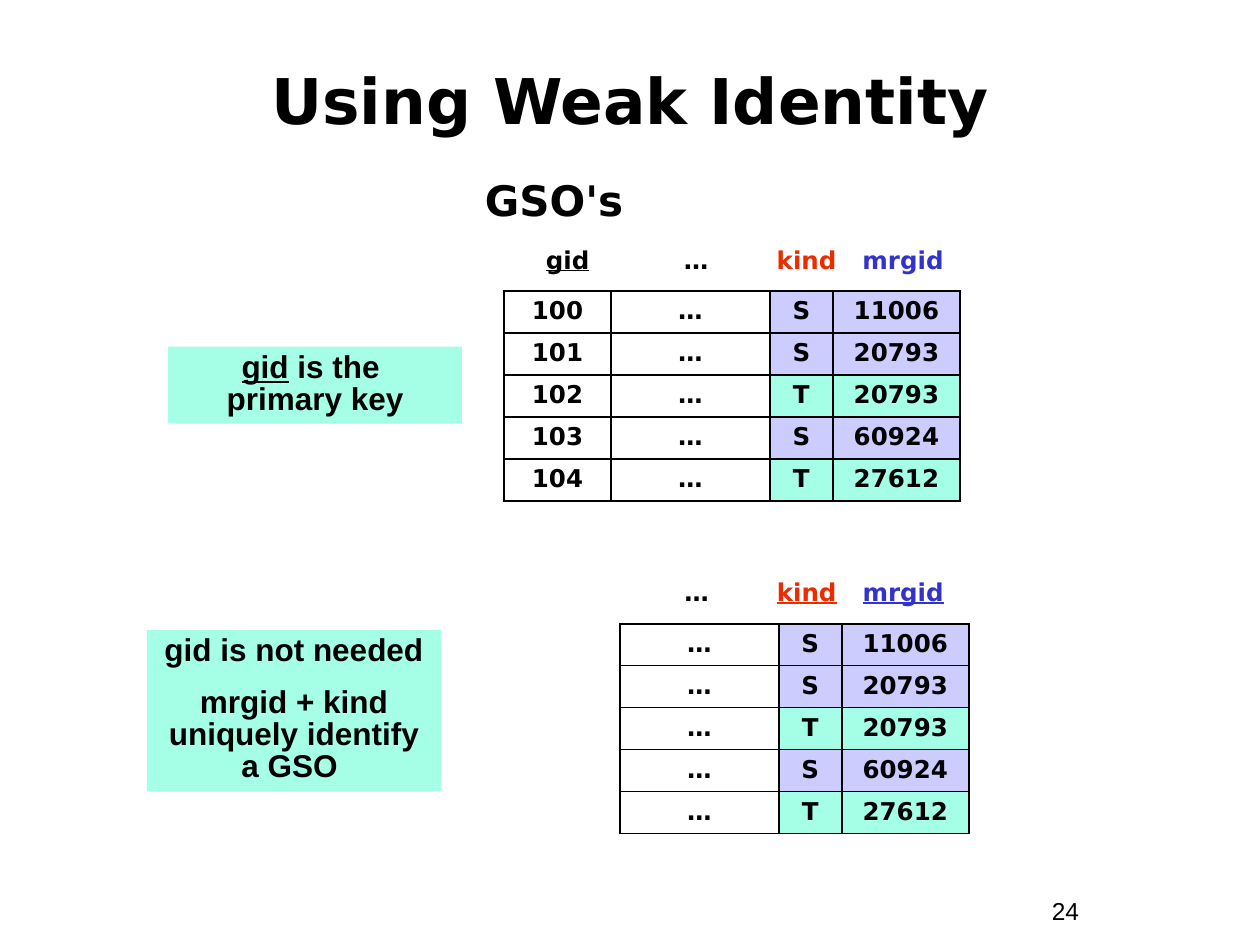
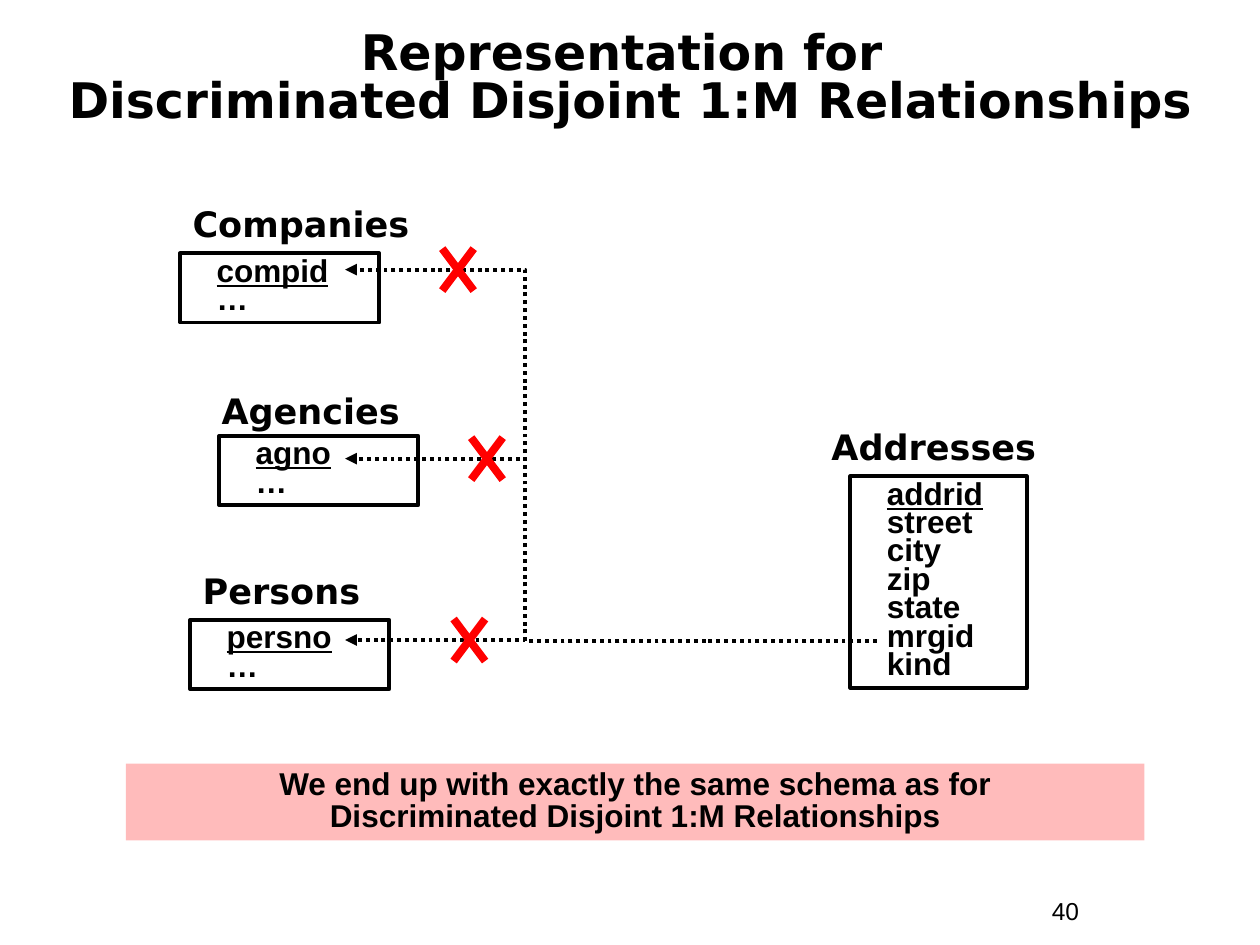
"""Two database-design slides: weak identity and discriminated relationships."""
from collections import namedtuple
from dataclasses import dataclass

from lxml import etree
from pptx import Presentation
from pptx.dml.color import RGBColor
from pptx.enum.dml import MSO_LINE
from pptx.enum.shapes import MSO_CONNECTOR, MSO_SHAPE
from pptx.enum.text import MSO_ANCHOR, PP_ALIGN
from pptx.oxml.ns import qn
from pptx.util import Inches, Pt

RECTANGLE = MSO_SHAPE.RECTANGLE
ELBOW, STRAIGHT = MSO_CONNECTOR.ELBOW, MSO_CONNECTOR.STRAIGHT
DOTTED = MSO_LINE.ROUND_DOT
LEFT, CENTER = PP_ALIGN.LEFT, PP_ALIGN.CENTER
TOP, MIDDLE = MSO_ANCHOR.TOP, MSO_ANCHOR.MIDDLE

COLUMNS, ROWS, PER_INCH = 120, 90, 12
BLANK_LAYOUT = 6

Box = namedtuple("Box", "left top width height")


@dataclass(frozen=True)
class Theme:
    """Colours, fonts, type sizes and line widths of the deck."""
    ink: str = "000000"
    lilac: str = "CCCCFF"
    mint: str = "A5FFE7"
    pink: str = "FFBBBB"
    kind: str = "EA2D00"
    mrgid: str = "3333CC"
    cross: str = "FF0000"
    heading_font: str = "DejaVu Sans"
    body_font: str = "Arial"
    title: int = 36
    long_title: int = 28
    table_name: int = 24
    entity_name: int = 20
    body: int = 18
    small: int = 14
    border: float = 1.08
    outline: float = 2.25
    cross_width: float = 4.5


THEME = Theme()
HEADING = {"name": THEME.heading_font, "bold": True, "color": THEME.ink}
BODY = {"name": THEME.body_font, "bold": True, "color": THEME.ink, "size": THEME.body}
CELL = {**HEADING, "size": THEME.small}
UNDERLINED = {"underline": True}

GSO_ROWS = [
    ("100", "…", "S", "11006"),
    ("101", "…", "S", "20793"),
    ("102", "…", "T", "20793"),
    ("103", "…", "S", "60924"),
    ("104", "…", "T", "27612"),
]
GSO_COLUMNS = (10.2, 15.12, 6, 12.12)
GSO_ROW = 4
HEADER_STOPS = (65.16, 74, 82.16)
KIND_FILLS = {"S": THEME.lilac, "T": THEME.mint}

JUNCTION = (67.2, 61.08)
REFERENCE_X = 32.88
KEY_BOX = (18.96, 6.6)


def grid(units):
    """Turn grid units into a length."""
    return Inches(units / PER_INCH)


def lengths(box):
    """Turn a box in grid units into four lengths."""
    return [grid(side) for side in box]


def set_font(font, values):
    """Apply a dict of format values to a font."""
    for key, value in values.items():
        if key == "color":
            font.color.rgb = RGBColor.from_string(value)
        elif key == "size":
            font.size = Pt(value)
        else:
            setattr(font, key, value)


def write(frame, paragraphs, base, anchor=TOP, **layout):
    """Write paragraphs of (text, format) runs, with newlines as line breaks."""
    frame.word_wrap = True
    frame.vertical_anchor = anchor
    for index, runs in enumerate(paragraphs):
        paragraph = frame.add_paragraph() if index else frame.paragraphs[0]
        for key, value in layout.items():
            setattr(paragraph, key, value)
        for text, extra in runs:
            for number, line in enumerate(text.split("\n")):
                if number:
                    paragraph.add_line_break()
                if line:
                    run = paragraph.add_run()
                    run.text = line
                    set_font(run.font, {**base, **extra})


def label(slide, box, text, base, **layout):
    """Place one plain text in a text box."""
    frame = slide.shapes.add_textbox(*lengths(box)).text_frame
    write(frame, [[(text, {})]], base, **layout)


def panel(slide, box, paragraphs, fill=None, outlined=False, **layout):
    """Place a rectangle with text, filled or outlined."""
    shape = slide.shapes.add_shape(RECTANGLE, *lengths(box))
    shape.shadow.inherit = False
    if fill:
        shape.fill.solid()
        shape.fill.fore_color.rgb = RGBColor.from_string(fill)
    else:
        shape.fill.background()
    if outlined:
        shape.line.color.rgb = RGBColor.from_string(THEME.ink)
        shape.line.width = Pt(THEME.outline)
    else:
        shape.line.fill.background()
    write(shape.text_frame, paragraphs, BODY, **layout)
    return shape


def note(slide, box, paragraphs, fill):
    """Place a coloured remark with centred text."""
    panel(slide, box, paragraphs, fill, alignment=CENTER,
          line_spacing=0.85, space_before=Pt(11.2))


def connect(slide, kind, start, end, color, width, dash=None, arrow=False):
    """Draw a connector between two grid points."""
    link = slide.shapes.add_connector(kind, *lengths(start + end))
    link.line.color.rgb = RGBColor.from_string(color)
    link.line.width = Pt(width)
    if dash:
        link.line.dash_style = dash
    properties = link._element.spPr
    if arrow:
        etree.SubElement(properties.find(qn("a:ln")), qn("a:tailEnd"), type="triangle")
    etree.SubElement(properties, qn("a:effectLst"))


def set_borders(cell):
    """Draw a thin line on all four sides of a cell."""
    properties = cell._tc.get_or_add_tcPr()
    for index, side in enumerate(("lnL", "lnR", "lnT", "lnB")):
        line = etree.Element(qn(f"a:{side}"), w=str(Pt(THEME.border)))
        fill = etree.SubElement(line, qn("a:solidFill"))
        etree.SubElement(fill, qn("a:srgbClr"), val=THEME.ink)
        properties.insert(index, line)


def gso_header(slide, box, names):
    """Write column names at the shared tab stops."""
    frame = slide.shapes.add_textbox(*lengths(box)).text_frame
    write(frame, [names], CELL, line_spacing=0.9)
    properties = frame.paragraphs[0]._p.get_or_add_pPr()
    stops = etree.SubElement(properties, qn("a:tabLst"))
    text_left = box.left + 0.1 * PER_INCH
    for stop in HEADER_STOPS:
        if stop > text_left:
            etree.SubElement(stops, qn("a:tab"), pos=str(grid(stop - text_left)), algn="l")


def gso_table(slide, left, top, first_column, header_left, header_width, names):
    """Place the GSO rows from one column on, with their header above."""
    widths = GSO_COLUMNS[first_column:]
    rows = [row[first_column:] for row in GSO_ROWS]
    gso_header(slide, Box(header_left, top - 4.68, header_width, 3.72), names)
    box = Box(left, top, sum(widths), GSO_ROW * len(rows))
    table = slide.shapes.add_table(len(rows), len(widths), *lengths(box)).table
    table.first_row = table.horz_banding = False
    for column, width in zip(table.columns, widths):
        column.width = grid(width)
    for row_index, row in enumerate(rows):
        table.rows[row_index].height = grid(GSO_ROW)
        for column_index, value in enumerate(row):
            cell = table.cell(row_index, column_index)
            cell.vertical_anchor = MIDDLE
            if column_index >= len(row) - 2:
                cell.fill.solid()
                cell.fill.fore_color.rgb = RGBColor.from_string(KIND_FILLS[row[-2]])
            else:
                cell.fill.background()
            set_borders(cell)
            write(cell.text_frame, [[(value, {})]], CELL, alignment=CENTER, line_spacing=0.9)
            cell.vertical_anchor = MIDDLE


def entity(slide, box, name, name_offset, key, fields):
    """Place an entity's name above its outlined box of fields."""
    across, up = name_offset
    label(slide, Box(box.left + across, box.top - up, 25.8, 5.28), name,
          {**HEADING, "size": THEME.entity_name})
    shape = panel(slide, box, [[(key + "\n", UNDERLINED), (fields, {})]],
                  outlined=True, alignment=LEFT, line_spacing=0.75)
    properties = shape.text_frame.paragraphs[0]._p.get_or_add_pPr()
    properties.set("marL", str(Inches(0.19)))
    properties.set("indent", "0")


def crossed_reference(slide, row, cross_left):
    """Draw a dotted reference to an entity and strike it out."""
    connect(slide, ELBOW, JUNCTION, (REFERENCE_X, row), THEME.ink, THEME.outline,
            DOTTED, arrow=True)
    near, far = cross_left, cross_left + 3
    for start, end in ((near, far), (far, near)):
        connect(slide, STRAIGHT, (start, row - 2), (end, row + 2),
                THEME.cross, THEME.cross_width)


def new_slide(deck, title, title_top, title_size, title_spacing, number):
    """Add a blank slide with its title and slide number."""
    slide = deck.slides.add_slide(deck.slide_layouts[BLANK_LAYOUT])
    label(slide, Box(99, 84.72, 11, 4.08), number,
          {**BODY, "bold": False, "size": THEME.small})
    label(slide, Box(4, title_top, COLUMNS - 8, 11), title,
          {**HEADING, "size": title_size},
          anchor=MIDDLE, alignment=CENTER, line_spacing=title_spacing)
    return slide


def weak_identity_slide(deck):
    """Compare the GSO table with and without its own key."""
    slide = new_slide(deck, "Using Weak Identity", 4, THEME.title, 1.0, "24")
    label(slide, Box(45, 16, 30, 6), "GSO's", {**HEADING, "size": THEME.table_name})
    kind, mrgid = {"color": THEME.kind}, {"color": THEME.mrgid}
    gso_table(slide, 59.04, 59.4, 1, 64, 28,
              [("…\t", {}), ("kind", {**kind, **UNDERLINED}), ("\t", {}),
               ("mrgid", {**mrgid, **UNDERLINED})])
    gso_table(slide, 48, 27.72, 0, 50, 48,
              [(" ", {}), ("gid", UNDERLINED), ("\t…\t", {}), ("kind\t", kind),
               ("mrgid", mrgid)])
    note(slide, Box(16, 33, 28, 7.32),
         [[("gid", UNDERLINED), (" is the \nprimary key", {})]], THEME.mint)
    note(slide, Box(14, 60, 28, 15.36),
         [[("gid is not needed", {})],
          [("mrgid + kind\nuniquely identify\na GSO ", {})]], THEME.mint)


def relationships_slide(deck):
    """Show the address references that cannot be enforced."""
    slide = new_slide(
        deck, "Representation for \nDiscriminated Disjoint 1:M Relationships",
        2.16, THEME.long_title, 0.8, "40")
    entity(slide, Box(81, 45.36, 16.8, 20.16), "Addresses", (-3, 5.4),
           "addrid", "street\ncity\nzip\nstate\nmrgid\nkind")
    connect(slide, ELBOW, (83.52, JUNCTION[1]), JUNCTION, THEME.ink, THEME.outline, DOTTED)
    owners = [
        ("Companies", "compid", 17.16, 24.12, (0, 5.4), 25.68, 42.12),
        ("Agencies", "agno", 20.88, 41.52, (-0.96, 5.04), 43.68, 44.88),
        ("Persons", "persno", 18.12, 59.04, (0, 5.4), 60.96, 43.2),
    ]
    for name, key, left, top, name_offset, row, cross_left in owners:
        entity(slide, Box(left, top, *KEY_BOX), name, name_offset, key, "…")
        crossed_reference(slide, row, cross_left)
    note(slide, Box(12, 72.72, 97, 7.32),
         [[("We end up with exactly the same schema as for\n"
            "Discriminated Disjoint 1:M Relationships", {})]], THEME.pink)


def main():
    """Build and save the deck."""
    deck = Presentation()
    deck.slide_width, deck.slide_height = grid(COLUMNS), grid(ROWS)
    weak_identity_slide(deck)
    relationships_slide(deck)
    deck.save("out.pptx")


if __name__ == "__main__":
    main()
